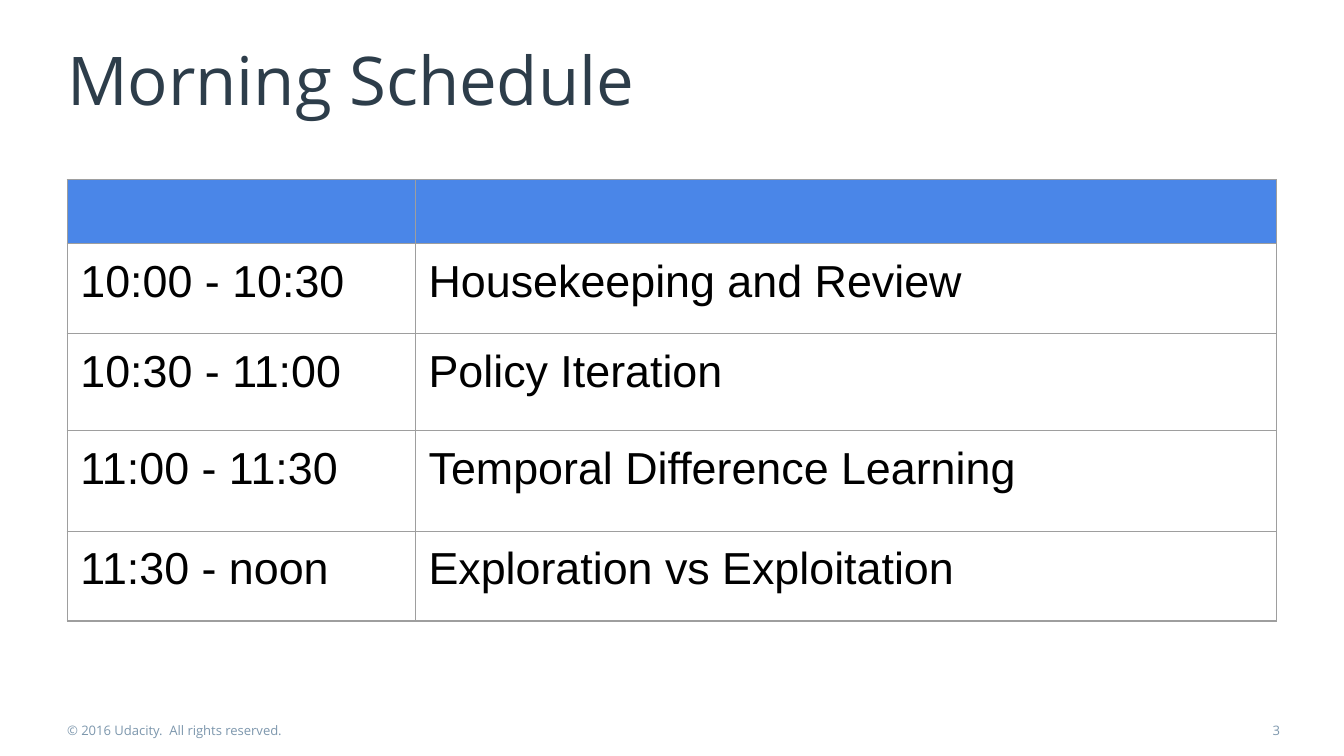
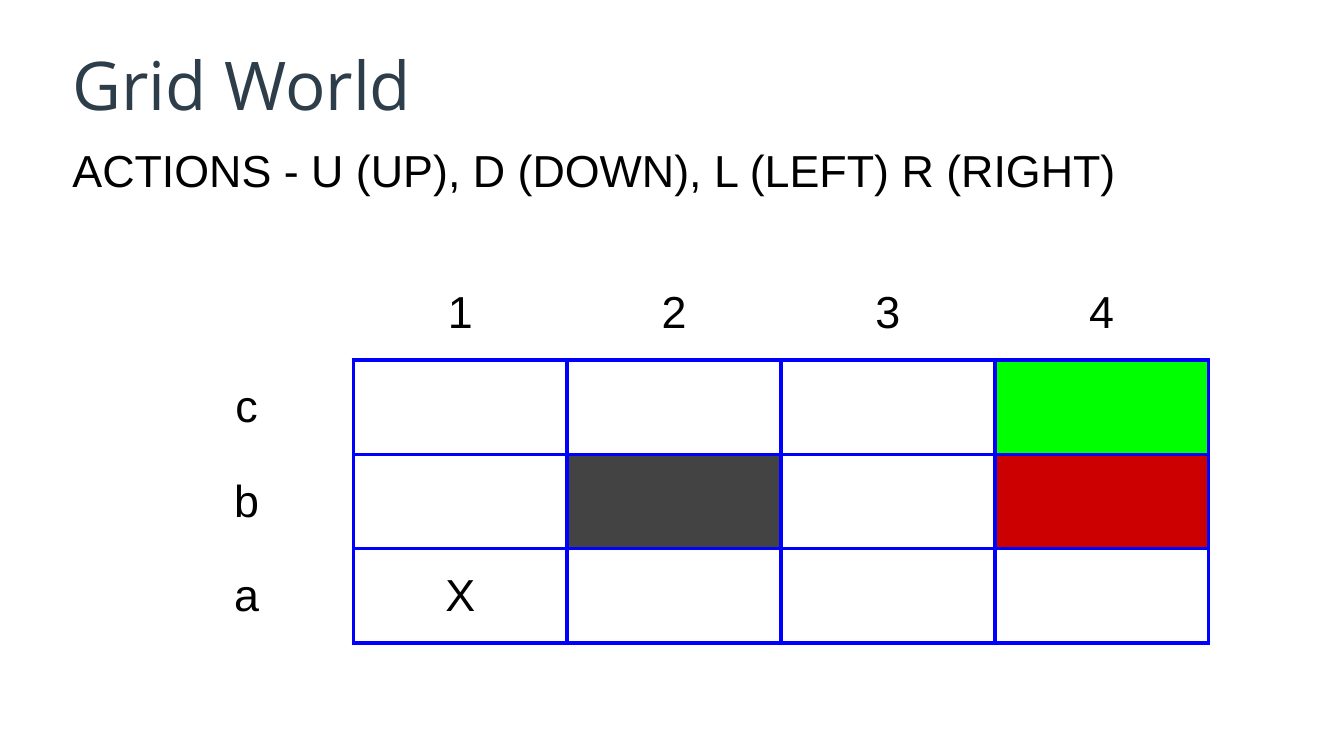
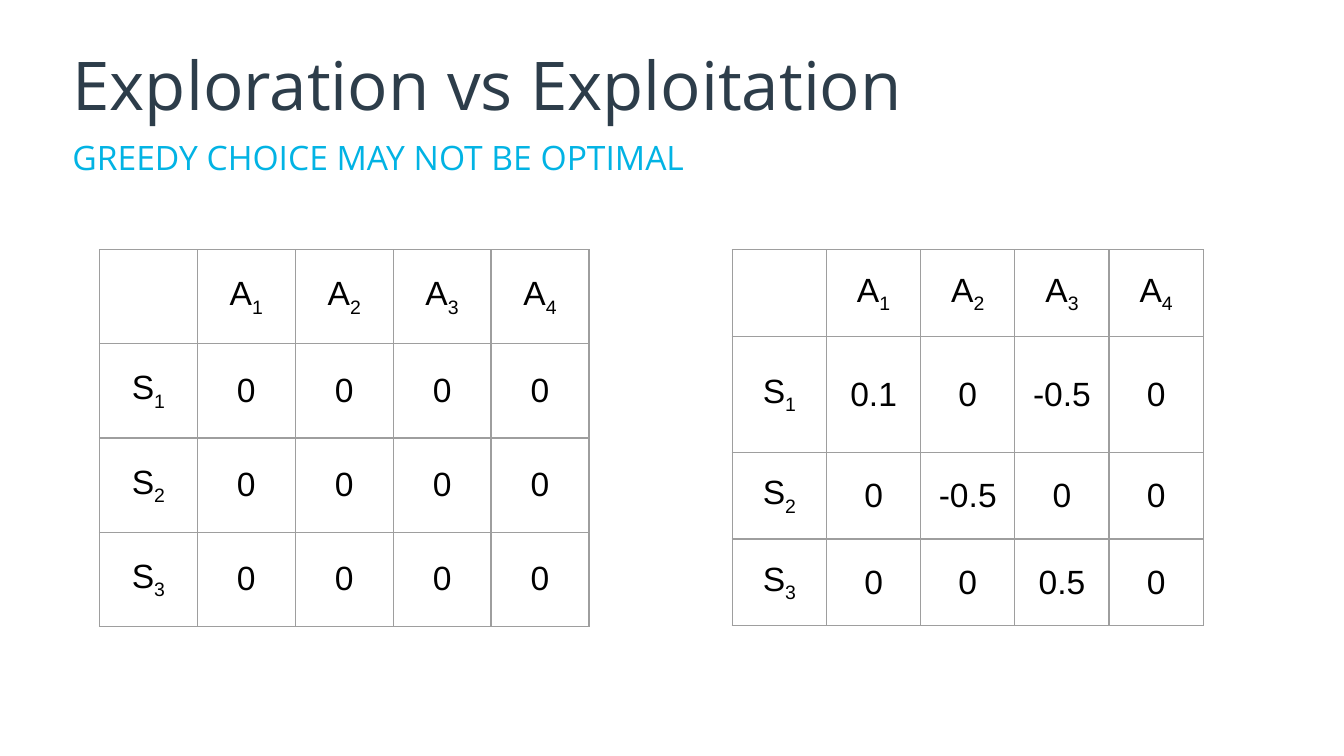
from lxml import etree
from pptx import Presentation
from pptx.dml.color import RGBColor
from pptx.enum import text
from pptx.oxml import ns
from pptx.util import Cm, Pt

COLORS = {
    "title": "2D3D4A", "subtitle": "02B3E4", "footer": "7D97AD", "body": "000000",
    "header": "4A86E8", "rule": "9E9E9E", "grid": "0000FF",
    "goal": "00FF00", "trap": "CC0000", "wall": "434343",
}
HEADING_FONT, BODY_FONT = "Open Sans", "Arial"
LEFT, CONTENT_WIDTH = 1.27, 22.86
CELL_INSET = 0.25
SIDES = "LRTB"


def add_run(paragraph, content, size, color, font=BODY_FONT, subscript=False):
    """Append one formatted run to a paragraph."""
    run = paragraph.add_run()
    run.text = content
    run.font.size = Pt(size)
    run.font.name = font
    run.font.color.rgb = RGBColor.from_string(COLORS[color])
    if subscript:
        run._r.get_or_add_rPr().set("baseline", "-25000")


def add_text(slide, content, box, size, color, font=HEADING_FONT, inset=0, top_inset=None, align=None):
    """Place a single-paragraph text box; box is left, top, width, height in cm."""
    frame = slide.shapes.add_textbox(*map(Cm, box)).text_frame
    frame.word_wrap = True
    frame.margin_left = frame.margin_right = frame.margin_bottom = Cm(inset)
    frame.margin_top = Cm(inset if top_inset is None else top_inset)
    paragraph = frame.paragraphs[0]
    paragraph.alignment = align
    paragraph.line_spacing = 0.95
    add_run(paragraph, content, size, color, font)


def add_title(slide, content, inset=0.1):
    """Write the slide title."""
    add_text(slide, content, (LEFT, 0.84, CONTENT_WIDTH, 1.65), 36, "title", inset=inset)


def add_subtitle(slide, content, size, color, font=HEADING_FONT, top_inset=0.1):
    """Write the line under the title."""
    add_text(slide, content, (LEFT, 2.54, CONTENT_WIDTH, 0.86), size, color, font, 0.1, top_inset)


def add_footer(slide, number):
    """Write the copyright line and the page number."""
    add_text(slide, "© 2016 Udacity.  All rights reserved.", (LEFT, 13.67, 11, 0.3), 7, "footer")
    add_text(slide, number, (23.98, 13.67, 0.28, 0.3), 7, "footer", align=text.PP_ALIGN.CENTER)


def set_borders(cell, color, width, sides=SIDES):
    """Draw the given sides of a cell and hide the others."""
    properties = cell._tc.get_or_add_tcPr()
    for side in SIDES:
        line = etree.SubElement(properties, ns.qn(f"a:ln{side}"), w=str(Pt(width)))
        if side in sides:
            fill = etree.SubElement(line, ns.qn("a:solidFill"))
            etree.SubElement(fill, ns.qn("a:srgbClr"), val=COLORS[color])
        else:
            etree.SubElement(line, ns.qn("a:noFill"))


def write_cell(cell, content, size, centered):
    """Write a string, or a (base, subscript) pair, into a cell."""
    cell.margin_left = cell.margin_right = cell.margin_top = cell.margin_bottom = Cm(CELL_INSET)
    paragraph = cell.text_frame.paragraphs[0]
    if centered:
        cell.vertical_anchor = text.MSO_ANCHOR.MIDDLE
        paragraph.alignment = text.PP_ALIGN.CENTER
    parts = (content,) if isinstance(content, str) else content
    for index, part in enumerate(parts):
        add_run(paragraph, part, size, "body", subscript=index > 0)


def add_grid(slide, origin, widths, heights, rows, size, border=("rule", 0.75),
             fills=None, centered=True, open_labels=False):
    """Add a ruled table; open_labels leaves the first row and column unframed."""
    frame = slide.shapes.add_table(len(heights), len(widths), *map(Cm, origin),
                                   Cm(sum(widths)), Cm(sum(heights)))
    table = frame.table
    table.first_row = table.horz_banding = False
    for column, width in zip(table.columns, widths):
        column.width = Cm(width)
    for row, height in zip(table.rows, heights):
        row.height = Cm(height)
    for r, contents in enumerate(rows):
        for c, content in enumerate(contents):
            cell = table.cell(r, c)
            sides = SIDES
            if open_labels and 0 in (r, c):
                sides = ("B" if c else "") + ("R" if r else "")
            set_borders(cell, *border, sides)
            color = (fills or {}).get((r, c))
            if color:
                cell.fill.solid()
                cell.fill.fore_color.rgb = RGBColor.from_string(COLORS[color])
            else:
                cell.fill.background()
            if content:
                write_cell(cell, content, size, centered)


def add_value_table(slide, origin, column_width, heights, values):
    """Add a table of state-action values with subscripted headings."""
    rows = [[""] + [("A", str(n)) for n in range(1, 5)]]
    rows += [[("S", str(n))] + state.split() for n, state in enumerate(values, 1)]
    add_grid(slide, origin, [column_width] * 5, heights, rows, 18)


def build_schedule(slide):
    """Build the schedule slide."""
    add_title(slide, "Morning Schedule", inset=0)
    rows = [
        ("", ""),
        ("10:00 - 10:30", "Housekeeping and Review"),
        ("10:30 - 11:00", "Policy Iteration"),
        ("11:00 - 11:30", "Temporal Difference Learning"),
        ("11:30 - noon", "Exploration vs Exploitation"),
    ]
    add_grid(slide, (LEFT, 3.4), [6.58, 16.28], [1.21, 1.7, 1.83, 1.9, 1.7], rows, 24,
             fills={(0, 0): "header", (0, 1): "header"}, centered=False)
    add_footer(slide, "3")


def build_grid_world(slide):
    """Build the grid world slide."""
    add_title(slide, "Grid World")
    add_subtitle(slide, "ACTIONS - U (UP), D (DOWN), L (LEFT) R (RIGHT)", 24, "body",
                 BODY_FONT, top_inset=0.23)
    rows = [["", "1", "2", "3", "4"], ["c"] + [""] * 4, ["b"] + [""] * 4, ["a", "X"] + [""] * 3]
    add_grid(slide, (2.64, 5.03), [4.04] * 5, [1.78] * 4, rows, 24, ("grid", 2.25),
             {(1, 4): "goal", (2, 2): "wall", (2, 4): "trap"}, open_labels=True)


def build_exploration(slide):
    """Build the slide that compares two value tables."""
    add_title(slide, "Exploration vs Exploitation")
    add_subtitle(slide, "GREEDY CHOICE MAY NOT BE OPTIMAL", 18, "subtitle")
    add_value_table(slide, (1.88, 4.72), 1.85, [1.78] * 4, ["0 0 0 0"] * 3)
    add_value_table(slide, (13.84, 4.72), 1.78, [1.64, 2.19, 1.64, 1.64],
                    ["0.1 0 -0.5 0", "0 -0.5 0 0", "0 0 0.5 0"])


def main():
    """Build and save the presentation."""
    presentation = Presentation()
    presentation.slide_width, presentation.slide_height = Cm(25.4), Cm(14.29)
    for build in (build_schedule, build_grid_world, build_exploration):
        build(presentation.slides.add_slide(presentation.slide_layouts[6]))
    presentation.save("out.pptx")


if __name__ == "__main__":
    main()
